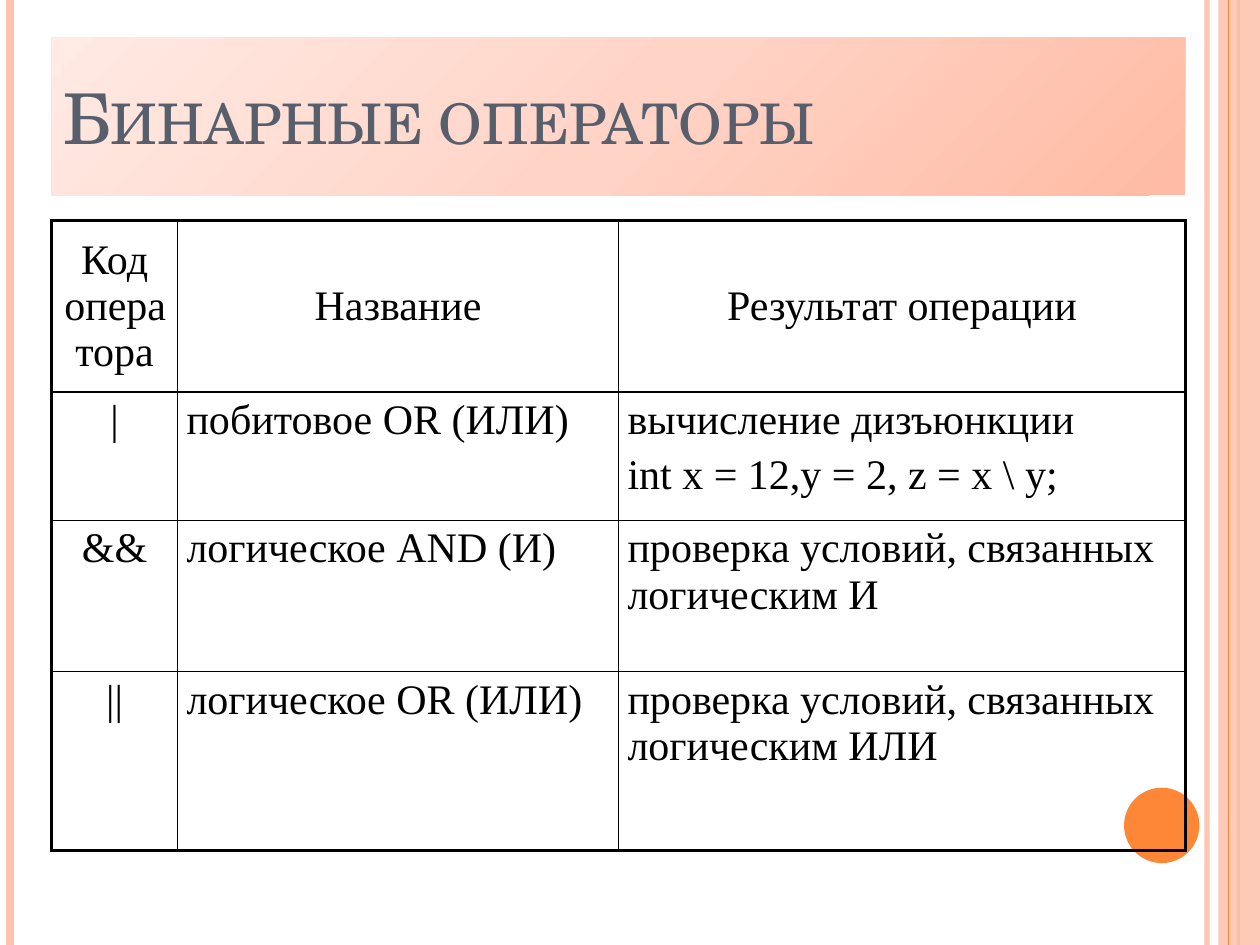
from copy import deepcopy

from lxml import etree
from pptx import Presentation
from pptx import util as u
from pptx.dml.color import RGBColor
from pptx.enum import shapes, text
from pptx.oxml.ns import qn

COLORS = {
    "pink": "FEC3AE",
    "orange": "FE8637",
    "grad_dark": "FFBBA3",
    "grad_mid": "FFD4C7",
    "grad_light": "FFEAE4",
    "title": "575F6D",
    "black": "000000",
}
HEIGHT = 19.05
LEFT = 1.04
COLUMNS = [2.54, 8.89, 11.43]
ROWS = [3.45, 2.59, 3.05, 3.6]
THIN, THICK = 1, 2.25
CELLS = [
    ["Код оператора", "Название", "Результат операции"],
    ["|", "побитовое OR (ИЛИ)", "вычисление дизъюнкции\nint x = 12,y = 2, z = x \\ y;"],
    ["&&", "логическое AND (И)", "проверка условий, связанных логическим И"],
    ["||", "логическое OR (ИЛИ)", "проверка условий, связанных логическим ИЛИ"],
]


def rgb(name):
    return RGBColor.from_string(COLORS[name])


def set_alpha(element, percent):
    color = element.find(".//" + qn("a:srgbClr"))
    etree.SubElement(color, qn("a:alpha")).set("val", str(percent * 1000))


def write(tf, content, *, size, font, color, align=text.PP_ALIGN.LEFT,
          gap=0, small_caps=False):
    tf.word_wrap = True
    for i, line in enumerate(content.split("\n")):
        p = tf.paragraphs[0] if i == 0 else tf.add_paragraph()
        p.alignment = align
        if i:
            p.space_before = u.Pt(gap)
        r = p.add_run()
        r.text = line
        r.font.size = u.Pt(size)
        r.font.name = font
        r.font.color.rgb = rgb(color)
        if small_caps:
            r.font._element.set("cap", "small")


def add_stripe(s, x, width, color, alpha=None):
    line = s.shapes.add_connector(shapes.MSO_CONNECTOR.STRAIGHT,
                                  u.Cm(x), 0, u.Cm(x), u.Cm(HEIGHT))
    line.line.width = u.Pt(width)
    line.line.color.rgb = rgb(color)
    sp_pr = line._element.spPr
    if alpha:
        set_alpha(sp_pr, alpha)
    etree.SubElement(sp_pr, qn("a:effectLst"))


def add_block(s, kind, x, y, w, h, color=None):
    sp = s.shapes.add_shape(kind, u.Cm(x), u.Cm(y), u.Cm(w), u.Cm(h))
    sp.shadow.inherit = False
    sp.line.fill.background()
    if color:
        sp.fill.solid()
        sp.fill.fore_color.rgb = rgb(color)
    return sp


def add_title(s, content):
    sp = add_block(s, shapes.MSO_SHAPE.RECTANGLE, LEFT, 0.76, sum(COLUMNS), 3.18)
    sp.fill.gradient()
    sp.fill.gradient_angle = 135
    stops = sp._element.spPr.find(".//" + qn("a:gsLst"))
    stops.append(deepcopy(stops[0]))
    names = ["grad_dark", "grad_mid", "grad_light"]
    for i, (stop, name) in enumerate(zip(sp.fill.gradient_stops, names)):
        stop.position = i / 2
        stop.color.rgb = rgb(name)
    sp.text_frame.vertical_anchor = text.MSO_ANCHOR.MIDDLE
    write(sp.text_frame, content, size=40, font="TeX Gyre Schola",
          color="title", small_caps=True)


def set_borders(cell, widths):
    tc_pr = cell._tc.get_or_add_tcPr()
    for i, (side, width) in enumerate(widths.items()):
        ln = etree.Element(qn("a:ln" + side), w=str(u.Pt(width)))
        fill = etree.SubElement(ln, qn("a:solidFill"))
        etree.SubElement(fill, qn("a:srgbClr")).set("val", COLORS["black"])
        tc_pr.insert(i, ln)


def add_operator_table(s):
    last_row, last_col = len(ROWS) - 1, len(COLUMNS) - 1
    frame = s.shapes.add_table(len(ROWS), len(COLUMNS), u.Cm(LEFT), u.Cm(4.45),
                               u.Cm(sum(COLUMNS)), u.Cm(sum(ROWS)))
    table = frame.table
    table.first_row = table.horz_banding = False
    for col, width in zip(table.columns, COLUMNS):
        col.width = u.Cm(width)
    for i, height in enumerate(ROWS):
        table.rows[i].height = u.Cm(height)
        for j, content in enumerate(CELLS[i]):
            cell = table.cell(i, j)
            cell.fill.background()
            cell.margin_left = cell.margin_right = u.Cm(0.18)
            cell.margin_top = cell.margin_bottom = u.Cm(0.1)
            header = i == 0
            cell.vertical_anchor = (text.MSO_ANCHOR.MIDDLE if header
                                    else text.MSO_ANCHOR.TOP)
            centred = header or j == 0
            write(cell.text_frame, content, size=24, font="Times New Roman",
                  color="black", gap=4.8,
                  align=text.PP_ALIGN.CENTER if centred else text.PP_ALIGN.LEFT)
            # Thick outer frame, thin inner grid
            set_borders(cell, {
                "L": THICK if j == 0 else THIN,
                "R": THICK if j == last_col else THIN,
                "T": THICK if header else THIN,
                "B": THICK if i == last_row else THIN,
            })


def main():
    prs = Presentation()
    prs.slide_width, prs.slide_height = u.Cm(25.4), u.Cm(HEIGHT)
    s = prs.slides.add_slide(prs.slide_layouts[6])

    # Side decoration
    add_stripe(s, 24.33, 3, "pink", alpha=93)
    add_stripe(s, 0.2, 4.5, "pink")
    add_stripe(s, 24.97, 1.5, "orange")
    band = add_block(s, shapes.MSO_SHAPE.RECTANGLE, 24.56, 0, 0.84, HEIGHT, "pink")
    set_alpha(band._element.spPr, 87)
    add_stripe(s, 24.77, 0.75, "orange")
    add_block(s, shapes.MSO_SHAPE.OVAL, 22.66, 15.88, 1.52, 1.52, "orange")

    # Content
    add_title(s, "Бинарные операторы")
    add_operator_table(s)

    prs.save("out.pptx")


if __name__ == "__main__":
    main()
